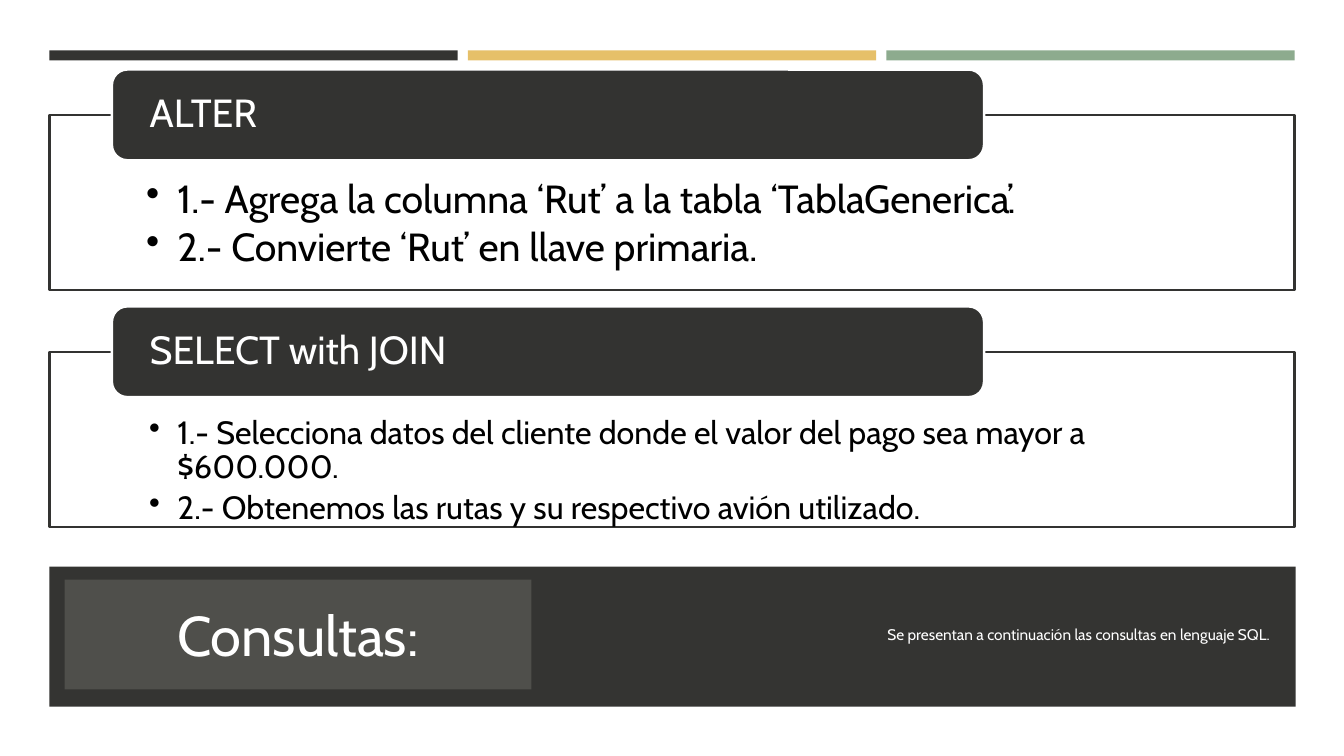
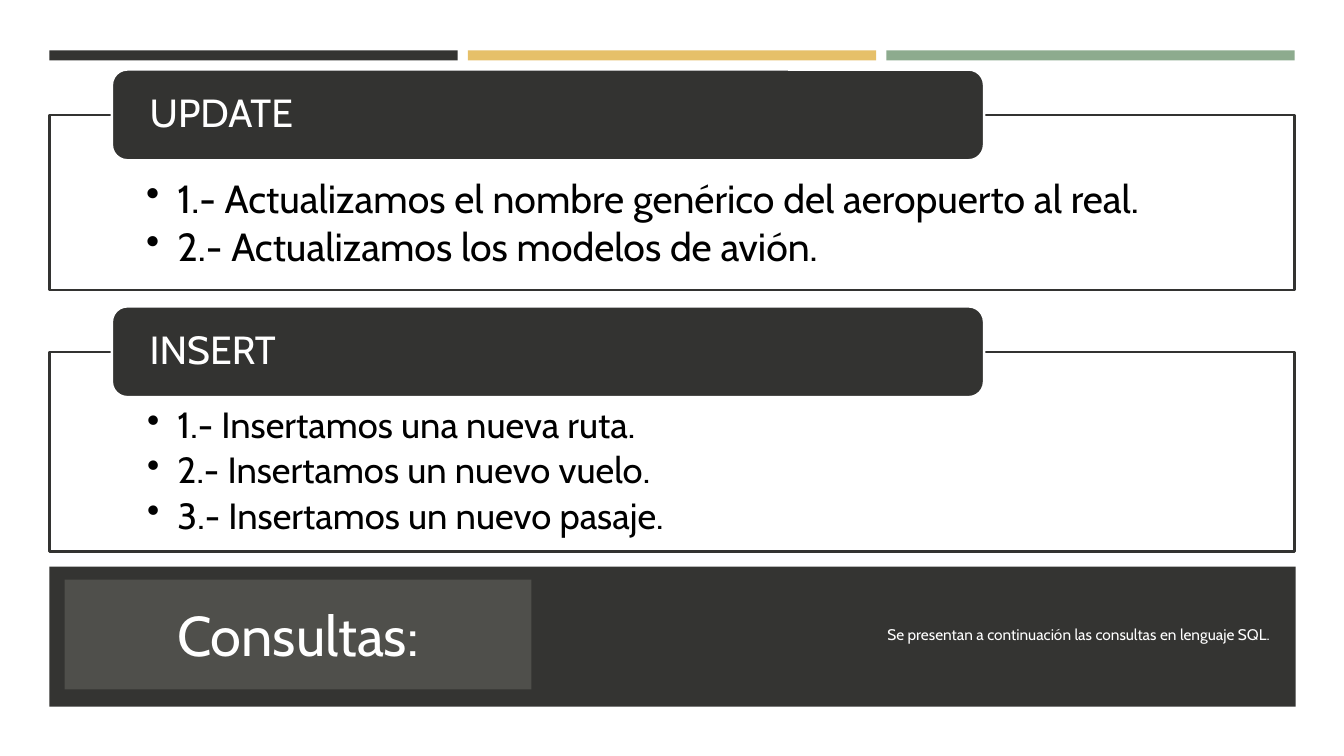
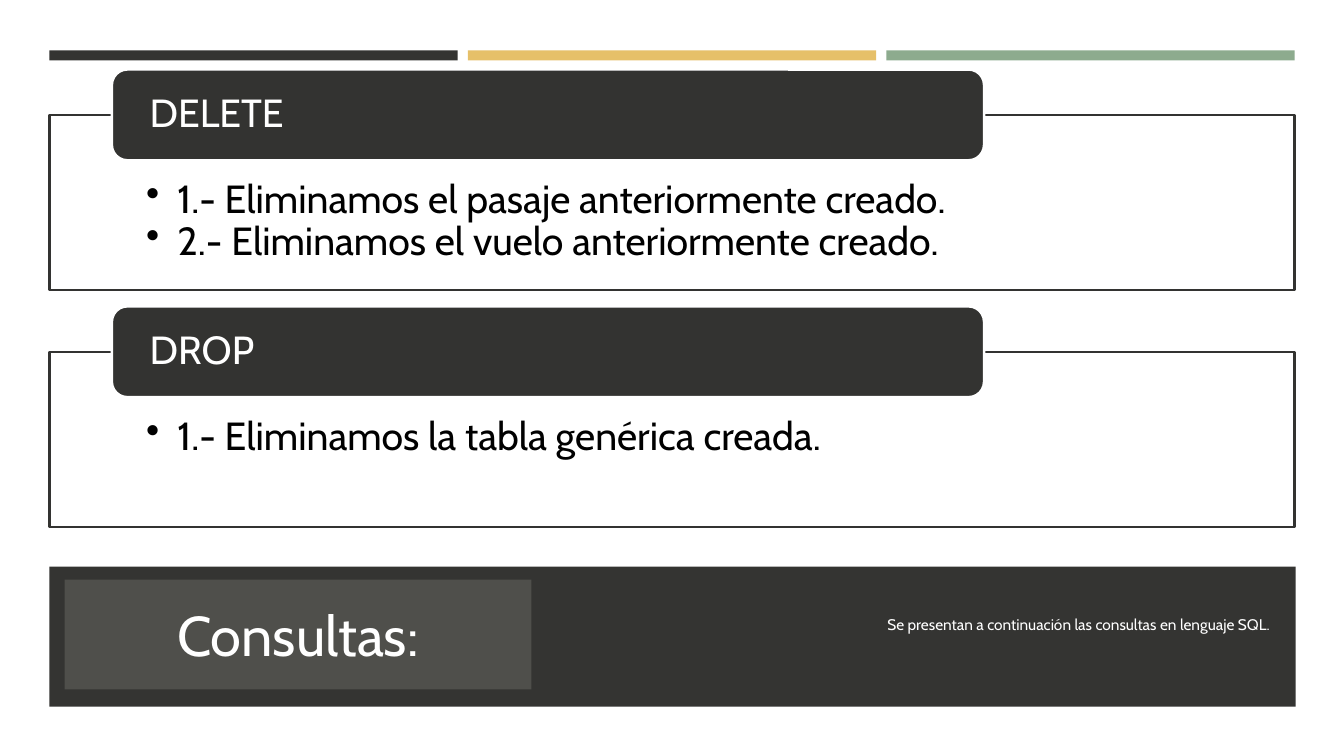
import pptx
import pptx.dml.color
import pptx.enum.shapes
import pptx.enum.text
import pptx.oxml
import pptx.oxml.ns
import pptx.util

PX = 9144  # EMU per px, 100 px to the inch
FONT = "Cabin"
COLORS = {
    "band": "343432",
    "gold": "E6C069",
    "green": "8DAB8E",
    "title_panel": "4F4F4B",
    "panel": "333331",
    "white": "FFFFFF",
    "black": "000000",
}
SHAPES = pptx.enum.shapes.MSO_SHAPE
ALIGN = pptx.enum.text.PP_ALIGN
ANCHOR = pptx.enum.text.MSO_ANCHOR

TITLE = "Consultas:"
CAPTION = "Se presentan a continuación las consultas en lenguaje SQL."
PANEL_TOP, PANEL_PITCH = 114, 235

# Each slide: caption bottom inset and two panels
SLIDES = [
    {"caption_bottom": 5, "panels": [
        {"heading": "ALTER", "items": [
            "1.- Agrega la columna ‘Rut’ a la tabla ‘TablaGenerica’.",
            "2.- Convierte ‘Rut’ en llave primaria."]},
        {"heading": "SELECT with JOIN", "size": 23, "hanging": 28, "items": [
            "1.- Selecciona datos del cliente donde el valor del pago sea mayor a $600.000.",
            "2.- Obtenemos las rutas y su respectivo avión utilizado."]},
    ]},
    {"caption_bottom": 5, "panels": [
        {"heading": "UPDATE", "items": [
            "1.- Actualizamos el nombre genérico del aeropuerto al real.",
            "2.- Actualizamos los modelos de avión."]},
        {"heading": "INSERT", "size": 26, "hanging": 30, "height": 198, "inset_top": 55, "items": [
            "1.- Insertamos una nueva ruta.",
            "2.- Insertamos un nuevo vuelo.",
            "3.- Insertamos un nuevo pasaje."]},
    ]},
    {"caption_bottom": 25, "panels": [
        {"heading": "DELETE", "gap": 0, "items": [
            "1.- Eliminamos el pasaje anteriormente creado.",
            "2.- Eliminamos el vuelo anteriormente creado."]},
        {"heading": "DROP", "items": ["1.- Eliminamos la tabla genérica creada."]},
    ]},
]


def px(length):
    return pptx.util.Emu(length * PX)


def color(name):
    return pptx.dml.color.RGBColor.from_string(COLORS[name])


def add_child(parent, tag, **attributes):
    child = pptx.oxml.ns.qn(tag)
    child = parent.makeelement(child, attributes)
    parent.append(child)
    return child


def add_box(page, kind, area, fill, line=None):
    box = page.shapes.add_shape(kind, *map(px, area))
    box.shadow.inherit = False
    box.fill.solid()
    box.fill.fore_color.rgb = color(fill)
    if line:
        box.line.color.rgb = color(line)
        box.line.width = pptx.util.Pt(1.75)
    else:
        box.line.fill.background()
    return box


def set_frame(frame, insets, anchor):
    frame.word_wrap = True
    frame.auto_size = pptx.enum.text.MSO_AUTO_SIZE.NONE
    frame.vertical_anchor = anchor
    (frame.margin_left, frame.margin_top,
     frame.margin_right, frame.margin_bottom) = map(px, insets)


def write_para(para, text, size, name, align=ALIGN.LEFT, spacing=1.0, before=0):
    para.text = text
    para.alignment = align
    para.line_spacing = spacing
    para.space_before = pptx.util.Pt(before)
    para.font.name = FONT
    para.font.size = pptx.util.Pt(size)
    para.font.color.rgb = color(name)


def add_bullet(para, hanging):
    properties = para._p.get_or_add_pPr()
    properties.set("marL", str(px(31)))
    properties.set("indent", str(px(-hanging)))
    bullet_color = add_child(properties, "a:buClr")
    add_child(bullet_color, "a:srgbClr", val=COLORS["black"])
    add_child(properties, "a:buChar", char="•")


def decorate_layout(layout, page):
    """Draw the shared bands on a page and move them to its layout."""
    bands = [((49 + 415 * column, 50, 405, 10), name)
             for column, name in enumerate(("band", "gold", "green"))]
    bands.append(((49, 562, 1236, 139), "band"))
    bands.append(((64, 575, 463, 109), "title_panel"))
    for area, name in bands:
        band = add_box(page, SHAPES.RECTANGLE, area, name)
        layout.shapes.element.append(band.element)


def fill_placeholder(holder, area, text, size, align, bottom=5):
    holder.left, holder.top, holder.width, holder.height = map(px, area)
    set_frame(holder.text_frame, (10, 5, 10, bottom), ANCHOR.MIDDLE)
    para = holder.text_frame.paragraphs[0]
    write_para(para, text, size, "white", align)
    properties = para._p.get_or_add_pPr()
    properties.set("marL", "0")
    properties.set("indent", "0")
    add_child(properties, "a:buNone")


def add_panel(page, top, heading, items, size=28, hanging=31, height=174,
              inset_top=64, gap=4.2):
    # Outlined list
    box = add_box(page, SHAPES.RECTANGLE, (49, top, 1235, height), "white", "panel")
    fill = box.element.spPr.find(pptx.oxml.ns.qn("a:solidFill"))
    add_child(fill[0], "a:alpha", val="89000")
    frame = box.text_frame
    set_frame(frame, (96, inset_top, 96, 22), ANCHOR.TOP)
    for index, item in enumerate(items):
        para = frame.add_paragraph() if index else frame.paragraphs[0]
        write_para(para, item, size, "black", spacing=0.9, before=gap if index else 0)
        para.level = 1
        add_bullet(para, hanging)

    # Heading tab across the top edge
    tab = add_box(page, SHAPES.ROUNDED_RECTANGLE, (111, top - 45, 865, 90), "panel", "white")
    tab.adjustments[0] = 0.17
    set_frame(tab.text_frame, (33, 0, 33, 0), ANCHOR.MIDDLE)
    write_para(tab.text_frame.paragraphs[0], heading, 28, "white", spacing=0.9)


def main():
    deck = pptx.Presentation()
    deck.slide_width, deck.slide_height = px(1333), px(750)
    layout = deck.slide_layouts[1]
    for number, content in enumerate(SLIDES):
        page = deck.slides.add_slide(layout)
        if number == 0:
            decorate_layout(layout, page)
        fill_placeholder(page.shapes.title, (64, 575, 463, 109), TITLE, 40, ALIGN.CENTER)
        fill_placeholder(page.placeholders[1], (628, 575, 642, 109), CAPTION, 11,
                         ALIGN.RIGHT, content["caption_bottom"])
        for row, panel in enumerate(content["panels"]):
            add_panel(page, PANEL_TOP + PANEL_PITCH * row, **panel)
    deck.save("out.pptx")


if __name__ == "__main__":
    main()
